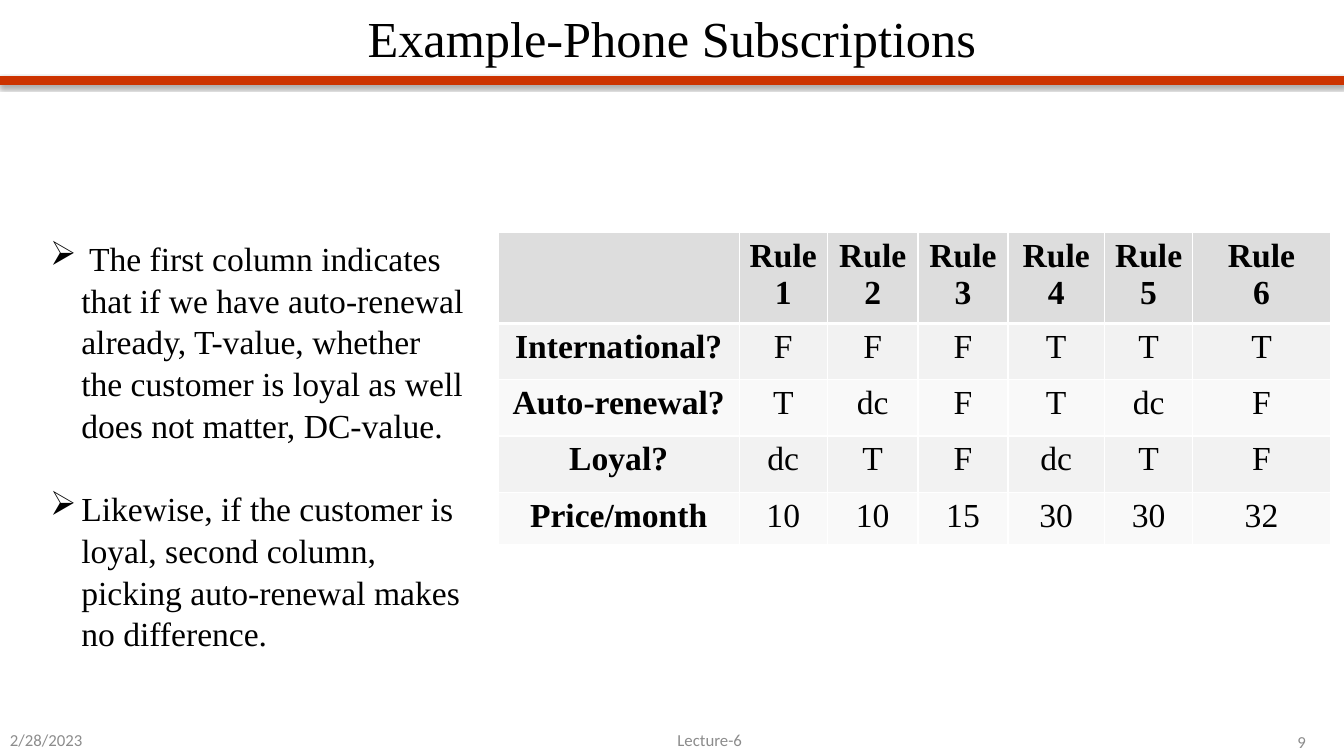
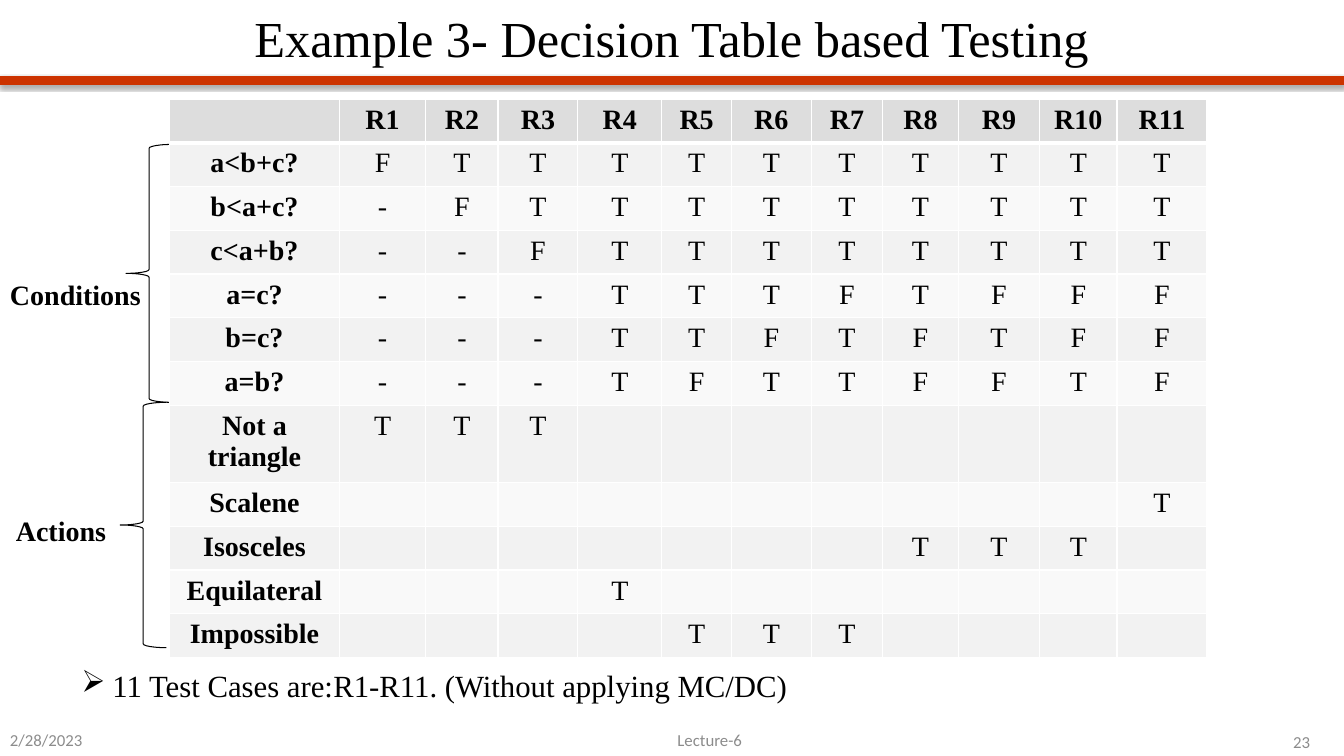
from dataclasses import dataclass

from lxml import etree
from pptx import Presentation
from pptx import util as u
from pptx.dml.color import RGBColor
from pptx.enum import shapes, text
from pptx.oxml import ns

# Shared measures, colours and fonts
EMU_PER_PX = 7620
SLIDE_WIDTH, SLIDE_HEIGHT = 1600, 900
BLACK, WHITE, GREY, RED = "000000", "FFFFFF", "8C8C8C", "CC3300"
HEADER_FILL, BAND_FILLS = "DDDDDD", ("F2F2F2", "F9F9F9")
SERIF, SANS = "Times New Roman", "Calibri"
BULLET_INDENT = 37
LEFT, CENTER = text.PP_ALIGN.LEFT, text.PP_ALIGN.CENTER


@dataclass(frozen=True)
class Box:
    left: int
    top: int
    width: int
    height: int

    def emu(self) -> list[int]:
        return [px(n) for n in (self.left, self.top, self.width, self.height)]


@dataclass(frozen=True)
class Style:
    size: int
    font: str = SERIF
    color: str = BLACK
    bold: bool = False
    align: text.PP_ALIGN = LEFT


@dataclass(frozen=True)
class Grid:
    left: int
    top: int
    columns: list[int]
    heights: list[int]
    rows: list[list[str]]
    size: int


@dataclass(frozen=True)
class Group:
    label: str
    label_box: Box
    brace_box: Box


TITLE = Style(36, align=CENTER)
FOOTER = Style(12, SANS, GREY, align=CENTER)
DATE = Style(12, SANS, GREY)


def px(length: int) -> int:
    return u.Emu(length * EMU_PER_PX)


def rgb(color: str) -> RGBColor:
    return RGBColor.from_string(color)


def add_xml(parent, tag: str, **attributes):
    return etree.SubElement(parent, ns.qn(tag), attributes)


# Text
def write(frame, content: str, style: Style) -> None:
    frame.text = content
    for paragraph in frame.paragraphs:
        paragraph.alignment = style.align
        for run in paragraph.runs:
            run.font.name = style.font
            run.font.size = u.Pt(style.size)
            run.font.bold = style.bold
            run.font.color.rgb = rgb(style.color)


def add_text(slide, box: Box, content: str, style: Style,
             anchor=text.MSO_ANCHOR.TOP):
    frame = slide.shapes.add_textbox(*box.emu()).text_frame
    frame.word_wrap = True
    frame.vertical_anchor = anchor
    write(frame, content, style)
    return frame


def add_bullets(slide, box: Box, items: list[str], size: int,
                gap: int = 0, spacing: float = 1.0) -> None:
    frame = add_text(slide, box, "\n".join(items), Style(size))
    for index, paragraph in enumerate(frame.paragraphs):
        paragraph.line_spacing = spacing
        paragraph.space_before = u.Pt(gap if index else 0)
        properties = paragraph._p.get_or_add_pPr()
        properties.set("marL", str(px(BULLET_INDENT)))
        properties.set("indent", str(-px(BULLET_INDENT)))
        add_xml(properties, "a:buChar", char="➢")


# Title, red rule and footer
def add_rule(slide) -> None:
    rule = slide.shapes.add_connector(
        shapes.MSO_CONNECTOR.STRAIGHT, 0, px(96), px(SLIDE_WIDTH), px(96))
    rule.line.color.rgb = rgb(RED)
    rule.line.width = u.Pt(6)
    effects = add_xml(rule._element.spPr, "a:effectLst")
    shadow = add_xml(effects, "a:outerShdw", blurRad=str(u.Pt(3.1)),
                     dist=str(u.Pt(1.8)), dir="5400000", rotWithShape="0")
    color = add_xml(shadow, "a:srgbClr", val=BLACK)
    add_xml(color, "a:alpha", val="35000")


def add_slide(presentation, title: str, number: int):
    slide = presentation.slides.add_slide(presentation.slide_layouts[5])
    add_rule(slide)
    heading = slide.shapes.title
    heading.left, heading.top, heading.width, heading.height = Box(
        0, 0, SLIDE_WIDTH, 88).emu()
    heading.text_frame.vertical_anchor = text.MSO_ANCHOR.MIDDLE
    heading.text_frame.auto_size = text.MSO_AUTO_SIZE.NONE
    write(heading.text_frame, title, TITLE)
    for box, content, style in (
        (Box(1499, 865, 101, 35), str(number), FOOTER),
        (Box(760, 863, 170, 35), "Lecture-6", FOOTER),
        (Box(0, 863, 170, 35), "2/28/2023", DATE),
    ):
        add_text(slide, box, content, style, text.MSO_ANCHOR.MIDDLE)
    return slide


# Tables
def set_borders(cell, row: int) -> None:
    properties = cell._tc.get_or_add_tcPr()
    widths = {"a:lnL": 1, "a:lnR": 1, "a:lnT": 3 if row == 1 else 1,
              "a:lnB": 3 if row == 0 else 1}
    for index, (tag, width) in enumerate(widths.items()):
        line = add_xml(properties, tag, w=str(u.Pt(width)))
        add_xml(add_xml(line, "a:solidFill"), "a:srgbClr", val=WHITE)
        properties.insert(index, line)


def add_grid(slide, grid: Grid) -> None:
    box = Box(grid.left, grid.top, sum(grid.columns), sum(grid.heights))
    table = slide.shapes.add_table(
        len(grid.heights), len(grid.columns), *box.emu()).table
    for column, width in zip(table.columns, grid.columns):
        column.width = px(width)
    for row, height in zip(table.rows, grid.heights):
        row.height = px(height)
    for r, values in enumerate(grid.rows):
        fill = BAND_FILLS[(r - 1) % 2] if r else HEADER_FILL
        for c, value in enumerate(values):
            cell = table.cell(r, c)
            cell.fill.solid()
            cell.fill.fore_color.rgb = rgb(fill)
            set_borders(cell, r)
            bold = r == 0 or c == 0
            write(cell.text_frame, value,
                  Style(grid.size, bold=bold, align=CENTER))


def add_group(slide, group: Group) -> None:
    brace = slide.shapes.add_shape(
        shapes.MSO_SHAPE.LEFT_BRACE, *group.brace_box.emu())
    brace.shadow.inherit = False
    brace.fill.background()
    brace.line.color.rgb = rgb(BLACK)
    brace.line.width = u.Pt(0.75)
    add_text(slide, group.label_box, group.label, Style(20, bold=True))


# Slides
def build_subscriptions(presentation) -> None:
    slide = add_slide(presentation, "Example-Phone Subscriptions", 9)
    add_bullets(slide, Box(48, 275, 521, 497), [
        " The first column indicates that if we have auto-renewal already, "
        "T-value, whether the customer is loyal as well does not matter, "
        "DC-value.",
        "Likewise, if the customer is loyal, second column, picking "
        "auto-renewal makes no difference.",
    ], size=24, gap=29, spacing=1.04)
    answers = {
        "International?": "F F F T T T",
        "Auto-renewal?": "T dc F T dc F",
        "Loyal?": "dc T F dc T F",
        "Price/month": "10 10 15 30 30 32",
    }
    header = ["", *(f"Rule {n}" for n in range(1, 6)), "Rule\n6"]
    add_grid(slide, Grid(
        593, 277, [287, 105, 108, 107, 115, 105, 164], [107, 67, 67, 67, 62],
        [header, *([name, *line.split()] for name, line in answers.items())],
        24))


def build_triangle(presentation) -> None:
    slide = add_slide(presentation, "Example 3- Decision Table based Testing", 23)
    for group in (
        Group("Conditions", Box(0, 325, 193, 53), Box(150, 172, 55, 307)),
        Group("Actions", Box(7, 606, 143, 53), Box(143, 479, 55, 292)),
    ):
        add_group(slide, group)
    conditions = {
        "a<b+c?": "FTTTTTTTTTT",
        "b<a+c?": "-FTTTTTTTTT",
        "c<a+b?": "--FTTTTTTTT",
        "a=c?": "---TTTFTFFF",
        "b=c?": "---TTFTFTFF",
        "a=b?": "---TFTTFFTF",
    }
    actions = {
        "Not a triangle": (1, 2, 3),
        "Scalene": (11,),
        "Isosceles": (8, 9, 10),
        "Equilateral": (4,),
        "Impossible": (5, 6, 7),
    }
    rules = range(1, 12)
    rows = [["", *(f"R{n}" for n in rules)]]
    rows += [[name, *values] for name, values in conditions.items()]
    rows += [[name, *("T" if n in chosen else "" for n in rules)]
             for name, chosen in actions.items()]
    add_grid(slide, Grid(
        202, 118, [202, 103, 86, 95, 100, 83, 95, 85, 90, 97, 92, 107],
        [91 if row[0] == "Not a triangle" else 52 for row in rows], rows, 20))
    add_bullets(slide, Box(85, 788, 1211, 56),
                ["11 Test Cases are:\tR1-R11. (Without applying MC/DC)"], size=22)


def main() -> None:
    presentation = Presentation()
    presentation.slide_width = px(SLIDE_WIDTH)
    presentation.slide_height = px(SLIDE_HEIGHT)
    build_subscriptions(presentation)
    build_triangle(presentation)
    presentation.save("out.pptx")


if __name__ == "__main__":
    main()
